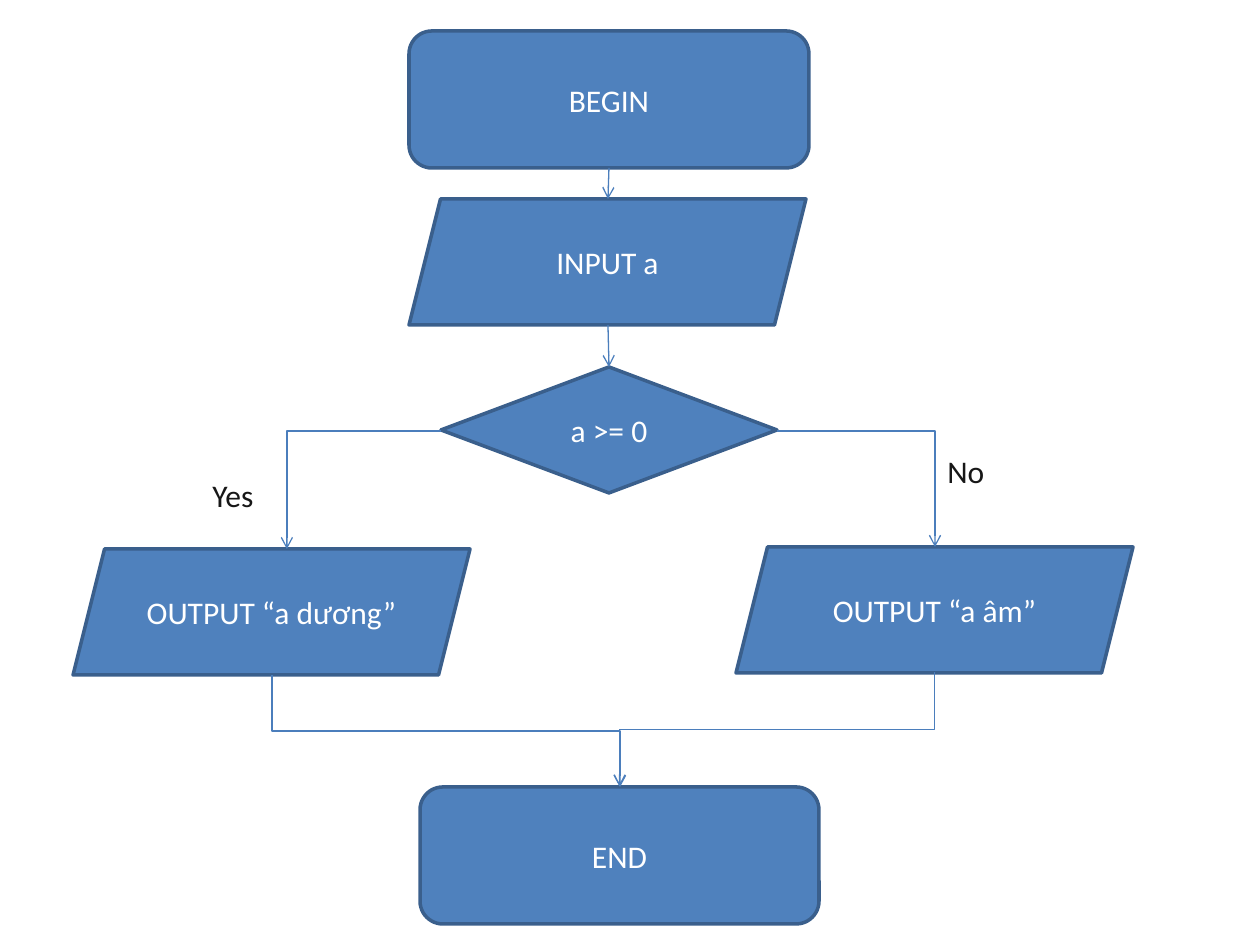
from lxml import etree
from pptx import Presentation
from pptx.dml.color import RGBColor
from pptx.enum.shapes import MSO_CONNECTOR, MSO_SHAPE
from pptx.enum.text import MSO_ANCHOR, MSO_AUTO_SIZE, PP_ALIGN
from pptx.oxml.ns import qn
from pptx.util import Pt

PX = 914400 // 126
ROUNDED = MSO_SHAPE.ROUNDED_RECTANGLE
PARALLELOGRAM = MSO_SHAPE.PARALLELOGRAM
DECISION = MSO_SHAPE.FLOWCHART_DECISION
STRAIGHT, ELBOW = MSO_CONNECTOR.STRAIGHT, MSO_CONNECTOR.ELBOW
CENTER, MIDDLE = PP_ALIGN.CENTER, MSO_ANCHOR.MIDDLE
FIT_SHAPE = MSO_AUTO_SIZE.SHAPE_TO_FIT_TEXT


def write(frame, text, color):
    """Put one line of flowchart text into a text frame."""
    paragraph = frame.paragraphs[0]
    paragraph.text = text
    paragraph.font.name = "Calibri"
    paragraph.font.size = Pt(18)
    paragraph.font.color.rgb = RGBColor.from_string(color)
    return paragraph


def arrow(kind, x1, y1, x2, y2):
    """Draw a thin connector with an open arrowhead at its end."""
    link = slide.shapes.add_connector(kind, x1 * PX, y1 * PX, x2 * PX, y2 * PX)
    link.line.color.rgb = RGBColor.from_string("4B7EBC")
    link.line.width = Pt(0.75)
    etree.SubElement(link.line._get_or_add_ln(), qn("a:tailEnd"), type="arrow")
    etree.SubElement(link.element.spPr, qn("a:effectLst"))
    return link.element.spPr


prs = Presentation()
prs.slide_width, prs.slide_height = 1260 * PX, 945 * PX
slide = prs.slides.add_slide(prs.slide_layouts[6])

steps = [
    (ROUNDED, "BEGIN", 409, 31, 400, 137),
    (ROUNDED, "END", 420, 787, 399, 137),
    (PARALLELOGRAM, "INPUT a", 409, 199, 397, 126),
    (DECISION, "a >= 0", 441, 367, 336, 126),
    (PARALLELOGRAM, "OUTPUT “a dương”", 73, 549, 397, 126),
    (PARALLELOGRAM, "OUTPUT “a âm”", 736, 547, 397, 126),
]
for outline, text, left, top, width, height in steps:
    step = slide.shapes.add_shape(outline, left * PX, top * PX, width * PX, height * PX)
    step.shadow.inherit = False
    step.fill.solid()
    step.fill.fore_color.rgb = RGBColor.from_string("4F81BD")
    step.line.color.rgb = RGBColor.from_string("3A5F8C")
    step.line.width = Pt(2)
    step.text_frame.vertical_anchor = MIDDLE
    write(step.text_frame, text, "FFFFFF").alignment = CENTER

for text, left, top, width in [("Yes", 200, 470, 67), ("No", 935, 446, 63)]:
    answer = slide.shapes.add_textbox(left * PX, top * PX, width * PX, 50 * PX)
    answer.text_frame.word_wrap = False
    answer.text_frame.auto_size = FIT_SHAPE
    write(answer.text_frame, text, "171717")

arrow(STRAIGHT, 609, 168, 608, 199)
arrow(STRAIGHT, 608, 325, 609, 367)

# Branches leave the decision sideways and turn down once
for x1, x2, y2 in [(777, 935, 547), (441, 287, 549)]:
    branch = arrow(ELBOW, x1, 431, x2, y2)
    branch.find(qn("a:prstGeom")).set("prst", "bentConnector2")

# Merging arrows run down, across and down: a quarter-turned elbow
end_x, end_y = 620, 787
for x, y in [(272, 675), (935, 673)]:
    drop, across = end_y - y, abs(end_x - x)
    left = (x + end_x - drop) / 2
    top = (y + end_y - across) / 2
    merge = arrow(ELBOW, int(left), int(top), int(left) + drop, int(top) + across)
    turn = merge.find(qn("a:xfrm"))
    if x < end_x:
        turn.set("rot", str(270 * 60000))
        turn.set("flipH", "1")
    else:
        turn.set("rot", str(90 * 60000))

prs.save("out.pptx")
